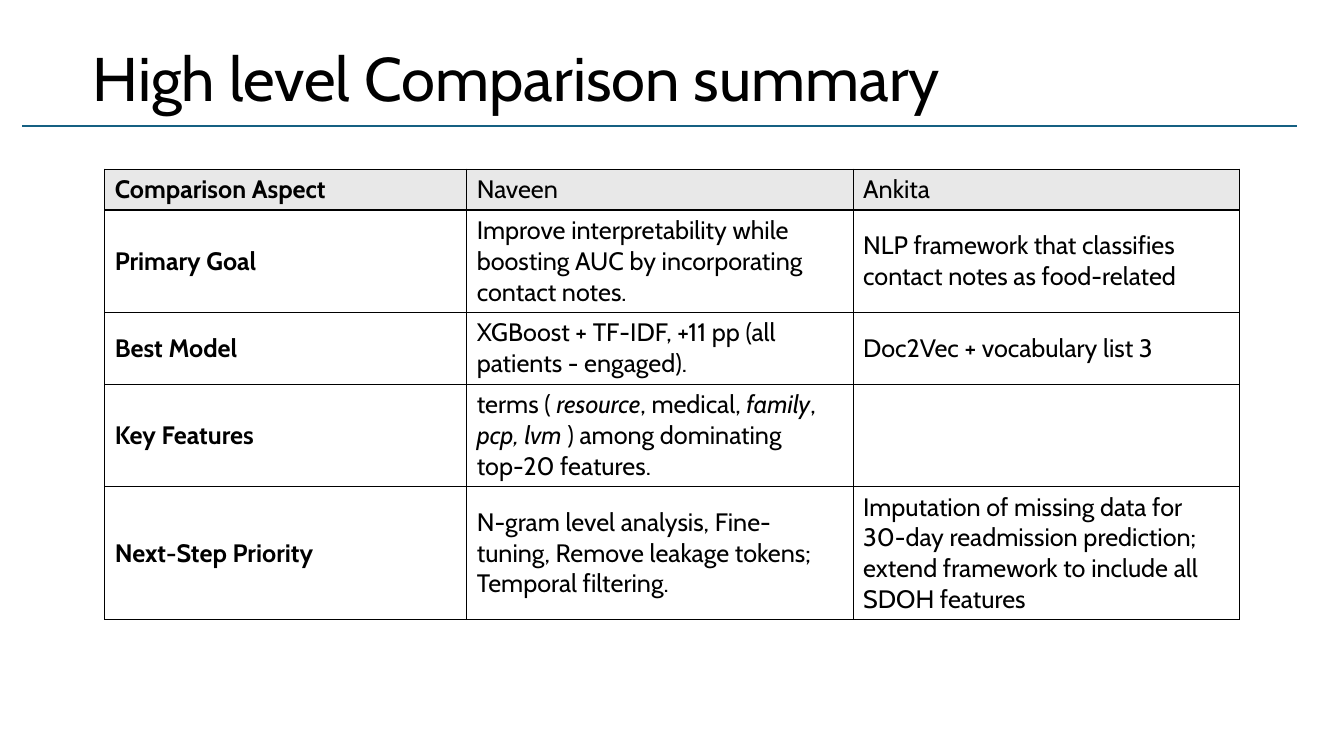
from lxml.etree import SubElement
from pptx import Presentation
from pptx.dml.color import RGBColor
from pptx.enum.shapes import MSO_CONNECTOR as Connector
from pptx.enum.text import MSO_ANCHOR as Anchor, MSO_AUTO_SIZE as AutoSize, PP_ALIGN as Align
from pptx.oxml import parse_xml
from pptx.oxml.ns import nsdecls, qn
from pptx.util import Pt


def color(value):
    return RGBColor.from_string(value)


def add_run(paragraph, text, size, **formats):
    run = paragraph.add_run()
    run.text = text
    for name, value in {"name": "Cabin", "size": Pt(size), **formats}.items():
        setattr(run.font, name, value)
    run.font.color.rgb = color("000000")


presentation = Presentation()
presentation.slide_width, presentation.slide_height = Pt(960), Pt(540)
slide = presentation.slides.add_slide(presentation.slide_layouts[5])

title = slide.shapes.title
title_box = {"left": 59, "top": 13.7, "width": 810, "height": 72}
for name, value in title_box.items():
    setattr(title, name, Pt(value))
title_format = {"vertical_anchor": Anchor.BOTTOM, "word_wrap": True, "auto_size": AutoSize.NONE}
for name, value in title_format.items():
    setattr(title.text_frame, name, value)
heading = title.text_frame.paragraphs[0]
heading.alignment = Align.LEFT
heading.line_spacing = 0.9
add_run(heading, "High level Comparison summary", 44)

rule = slide.shapes.add_connector(Connector.STRAIGHT, Pt(16), Pt(90), Pt(926.5), Pt(90))
rule.line.color.rgb = color("156082")
rule.line.width = Pt(1.5)
SubElement(rule.element.spPr, qn("a:effectLst"))

# Asterisks enclose italic words
rows = [
    ["Comparison Aspect", "Naveen", "Ankita"],
    [
        "Primary Goal",
        "Improve interpretability while boosting AUC by incorporating contact notes.",
        "NLP framework that classifies contact notes as food-related",
    ],
    [
        "Best Model",
        "XGBoost + TF-IDF, +11 pp (all patients - engaged).",
        "Doc2Vec + vocabulary list 3",
    ],
    [
        "Key Features",
        "terms ( *resource*, medical, *family*, *pcp, lvm* ) among dominating top-20 features.",
        "",
    ],
    [
        "Next-Step Priority",
        "N-gram level analysis, Fine-tuning, Remove leakage tokens; Temporal filtering.",
        "Imputation of missing data for 30-day readmission prediction; "
        "extend framework to include all SDOH features",
    ],
]
column_widths = [258.6, 276, 276]
row_heights = [29.2, 73.2, 51.2, 73.2, 95]

frame = slide.shapes.add_table(
    len(rows), len(column_widths), Pt(74.8), Pt(120.8), Pt(sum(column_widths)), Pt(sum(row_heights))
)
table = frame.table
table.horz_banding = False
for column, width in zip(table.columns, column_widths):
    column.width = Pt(width)

for row_index, (texts, height) in enumerate(zip(rows, row_heights)):
    table.rows[row_index].height = Pt(height)
    for column_index, text in enumerate(texts):
        cell = table.cell(row_index, column_index)
        cell.vertical_anchor = Anchor.MIDDLE
        paragraph = cell.text_frame.paragraphs[0]
        for part, piece in enumerate(text.split("*")):
            if piece:
                add_run(paragraph, piece, 18, bold=column_index == 0, italic=part % 2 == 1)
        properties = cell._tc.get_or_add_tcPr()
        for side in ("lnL", "lnR", "lnT", "lnB"):
            properties.append(parse_xml(
                f'<a:{side} {nsdecls("a")} w="{Pt(1)}"><a:solidFill>'
                f'<a:srgbClr val="000000"/></a:solidFill></a:{side}>'
            ))
        if row_index == 0:
            cell.fill.solid()
            cell.fill.fore_color.rgb = color("E8E8E8")
        else:
            cell.fill.background()

presentation.save("out.pptx")
